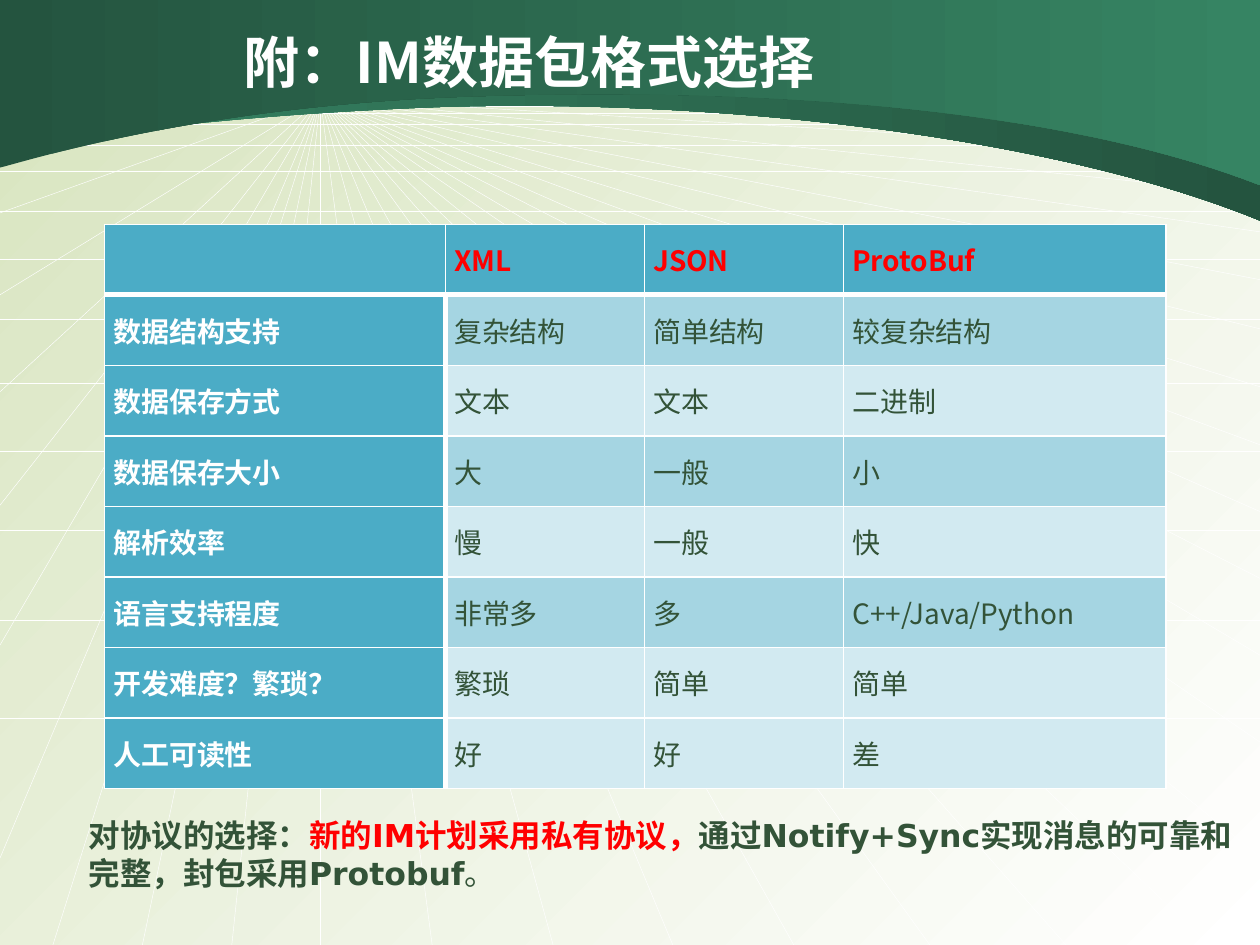
import lxml.etree
import pptx
import pptx.dml.color
import pptx.enum.dml
import pptx.enum.shapes
import pptx.enum.text
import pptx.oxml.ns
import pptx.util

COLUMNS, ROWS = 100, 75
UNIT = pptx.util.Inches(0.1)
COLORS = {
    "white": "FFFFFF", "red": "FF0000", "ink": "335338", "mist": "D7E4BE",
    "forest": "24543F", "leaf": "368463",
    "teal": "4BACC6", "band": "A5D5E2", "pale": "D2EAF1",
}
HEAD_FONT, NOTE_FONT = "Noto Sans CJK SC", "DejaVu Sans"

HORIZON = (25.42, 7.8)
RIGHT_EDGE_RAYS = [10, 12.3, 15.4, 18.4, 22.2, 26.1, 30.7, 35.3, 40.6, 45.9, 52, 58.9, 68]
BOTTOM_EDGE_RAYS = [4.2, 11.3, 18.4, 25.42, 34.3, 43.9, 53.4, 63, 73.8, 84.6, 96]
LEFT_EDGE_RAYS = [7.8, 9.7, 11.6, 16.9, 23.4, 31.1, 40.1, 51.2, 68.1]
GROUND_LINES = [8.4, 9, 9.9, 11.5, 13.6, 16.8, 20.6, 25.3, 30.4, 35.8, 42.1, 49.2, 57]

LOWER_WAVE = [
    (0, 11.9), (1.1, 11.8), (13.3, 9.3), (34.7, 8.5),
    (56.1, 7.8), (83.1, 10.6), (100, 17.5),
]
UPPER_WAVE = [
    (0, 13.3), (1.1, 13.1), (15.1, 8.5), (36.4, 7.7),
    (57.7, 6.9), (83.1, 8.1), (100, 14.7),
]

COLUMN_WIDTHS = [27.05, 15.8, 15.8, 25.6]
ROW_HEIGHT = 5.6
COMPARISON = [
    ["", "XML", "JSON", "ProtoBuf"],
    ["数据结构支持", "复杂结构", "简单结构", "较复杂结构"],
    ["数据保存方式", "文本", "文本", "二进制"],
    ["数据保存大小", "大", "一般", "小"],
    ["解析效率", "慢", "一般", "快"],
    ["语言支持程度", "非常多", "多", "C++/Java/Python"],
    ["开发难度？繁琐？", "繁琐", "简单", "简单"],
    ["人工可读性", "好", "好", "差"],
]
BANDED_ROWS = (1, 3, 5)
CONCLUSION = [
    ("对协议的选择：", "ink", True),
    ("新的IM计划采用私有协议，", "red", True),
    ("通过Notify+Sync实现消息的可靠和完整，封包采用Protobuf", "ink", True),
    ("。", "ink", False),
]


def grid(*values):
    """Convert grid units to EMU."""
    return [round(value * UNIT) for value in values]


def rgb(name):
    """Look up a palette colour."""
    return pptx.dml.color.RGBColor.from_string(COLORS[name])


def style_font(font, family, size, color, bold):
    """Set one font for both Latin and East Asian text."""
    font.name, font.size, font.bold = family, pptx.util.Pt(size), bold
    font.color.rgb = rgb(color)
    east_asian = lxml.etree.Element(pptx.oxml.ns.qn("a:ea"), typeface=family)
    font._element.find(pptx.oxml.ns.qn("a:latin")).addnext(east_asian)


def blend(fill, start, end, angle):
    """Apply a two-colour linear gradient."""
    fill.gradient()
    fill.gradient_angle = angle
    for stop, color in zip(fill.gradient_stops, (start, end)):
        stop.color.rgb = rgb(color)


def add_ray(slide, start, end):
    """Draw a white hairline."""
    ray = slide.shapes.add_connector(
        pptx.enum.shapes.MSO_CONNECTOR.STRAIGHT, *grid(*start, *end))
    ray.line.color.rgb = rgb("white")
    ray.line.width = pptx.util.Pt(0.25)
    lxml.etree.SubElement(ray._element.spPr, pptx.oxml.ns.qn("a:effectLst"))


def add_perspective(slide):
    """Draw the rays from the horizon and the level ground lines."""
    ends = [(COLUMNS, y) for y in RIGHT_EDGE_RAYS]
    ends += [(x, ROWS) for x in BOTTOM_EDGE_RAYS]
    ends += [(0, y) for y in LEFT_EDGE_RAYS]
    for end in ends:
        add_ray(slide, HORIZON, end)
    for y in GROUND_LINES:
        add_ray(slide, (0, y), (COLUMNS, y))


def bend(shape):
    """Turn the wave's control points into two cubic curves."""
    segments = list(shape._element.iter(pptx.oxml.ns.qn("a:lnTo")))
    for first in (1, 4):
        curve = lxml.etree.Element(pptx.oxml.ns.qn("a:cubicBezTo"))
        segments[first].addprevious(curve)
        for segment in segments[first:first + 3]:
            curve.append(segment[0])
            segment.getparent().remove(segment)


def add_wave(slide, crest, start, end):
    """Fill the area between the slide top and a wave."""
    outline = slide.shapes.build_freeform(0, 0)
    corners = crest + [(COLUMNS, 0)]
    outline.add_line_segments([grid(*corner) for corner in corners], close=True)
    wave = outline.convert_to_shape()
    bend(wave)
    wave.shadow.inherit = False
    wave.line.fill.background()
    blend(wave.fill, start, end, 0)


def add_text(slide, box, runs, family, size):
    """Add a wrapped text box with coloured runs."""
    frame = slide.shapes.add_textbox(*grid(*box)).text_frame
    frame.word_wrap = True
    for text, color, bold in runs:
        run = frame.paragraphs[0].add_run()
        run.text = text
        style_font(run.font, family, size, color, bold)


def add_borders(cell, row, column):
    """Draw white borders, thicker along the headings."""
    below_head = {0: "B", 1: "T"}.get(row)
    beside_head = {0: "R", 1: "L"}.get(column) if row else None
    for side in "LRTB":
        width = 3 if side in (below_head, beside_head) else 1
        border = lxml.etree.SubElement(
            cell._tc.get_or_add_tcPr(), pptx.oxml.ns.qn(f"a:ln{side}"),
            w=str(pptx.util.Pt(width)))
        paint = lxml.etree.SubElement(border, pptx.oxml.ns.qn("a:solidFill"))
        lxml.etree.SubElement(paint, pptx.oxml.ns.qn("a:srgbClr"), val=COLORS["white"])


def fill_cell(cell, text, row, column):
    """Write and style one comparison cell."""
    heading = row == 0 or column == 0
    body = "band" if row in BANDED_ROWS else "pale"
    add_borders(cell, row, column)
    cell.fill.solid()
    cell.fill.fore_color.rgb = rgb("teal" if heading else body)
    cell.vertical_anchor = pptx.enum.text.MSO_ANCHOR.MIDDLE
    cell.margin_left = cell.margin_right = grid(0.7)[0]
    cell.margin_top = cell.margin_bottom = 0
    cell.text = text
    color = "red" if row == 0 else "white" if column == 0 else "ink"
    style_font(cell.text_frame.paragraphs[0].font, HEAD_FONT, 16, color, heading)


def add_comparison(slide, left, top):
    """Build the format comparison table."""
    size = sum(COLUMN_WIDTHS), ROW_HEIGHT * len(COMPARISON)
    table = slide.shapes.add_table(
        len(COMPARISON), len(COLUMN_WIDTHS), *grid(left, top, *size)).table
    table.first_row = table.horz_banding = False
    for column, width in zip(table.columns, grid(*COLUMN_WIDTHS)):
        column.width = width
    for row, texts in enumerate(COMPARISON):
        table.rows[row].height = grid(ROW_HEIGHT)[0]
        for column, text in enumerate(texts):
            fill_cell(table.cell(row, column), text, row, column)


def main():
    """Build and save the slide."""
    deck = pptx.Presentation()
    deck.slide_width, deck.slide_height = grid(COLUMNS, ROWS)
    slide = deck.slides.add_slide(deck.slide_layouts[6])
    blend(slide.background.fill, "mist", "white", 315)
    add_perspective(slide)
    add_wave(slide, LOWER_WAVE, "leaf", "forest")
    add_wave(slide, UPPER_WAVE, "forest", "leaf")
    add_text(slide, (18.35, 1.7, 65.5, 7.7),
             [("附：IM数据包格式选择", "white", True)], HEAD_FONT, 32)
    add_comparison(slide, 8.3, 17.8)
    add_text(slide, (6.05, 64.3, 93.7, 7.1), CONCLUSION, NOTE_FONT, 18)
    deck.save("out.pptx")


if __name__ == "__main__":
    main()
